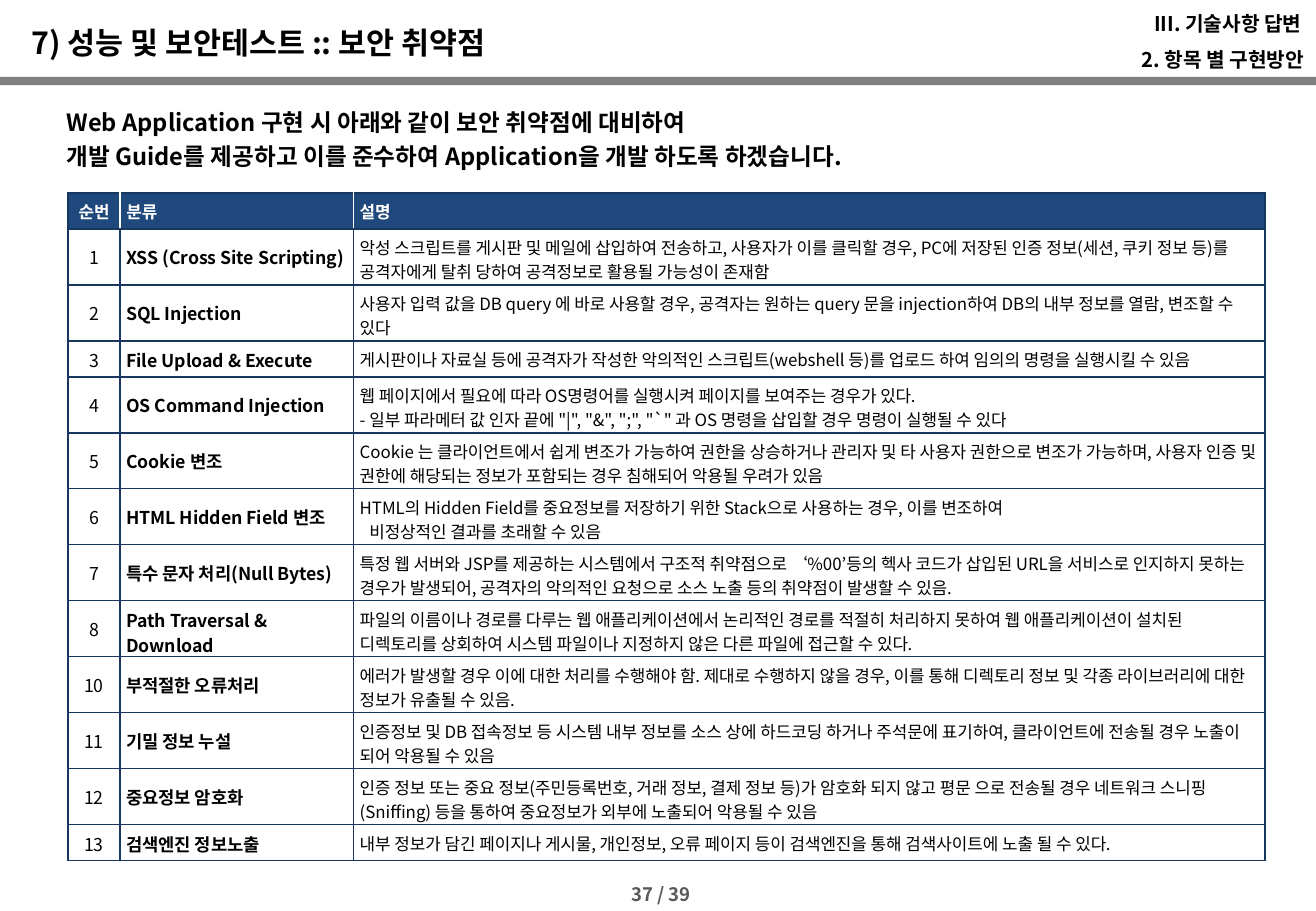
import pptx
import pptx.dml.color
import pptx.enum.shapes
import pptx.enum.text
import pptx.oxml.ns
import pptx.util
from lxml import etree

Cm, Pt = pptx.util.Cm, pptx.util.Pt
ALIGN = pptx.enum.text.PP_ALIGN
MID = pptx.enum.text.MSO_ANCHOR.MIDDLE
TOP = pptx.enum.text.MSO_ANCHOR.TOP

COLORS = {
    "black": "000000", "white": "FFFFFF", "gray": "595959", "bar": "808080",
    "edge": "EEECE1", "head": "1F497D", "grid": "17375E",
}
TITLES = ["순번", "분류", "설명"]
WIDTHS = [1.09, 4.88, 19.05]
SHORT, TALL = 0.75, 1.17

# Number, weakness, description, row height
RISKS = [
    ("1", "XSS (Cross Site Scripting)",
     "악성 스크립트를 게시판 및 메일에 삽입하여 전송하고, 사용자가 이를 클릭할 경우, PC에 저장된 인증 정보(세션, 쿠키 정보 등)를 공격자에게 탈취 당하여 공격정보로 활용될 가능성이 존재함", TALL),
    ("2", "SQL Injection",
     "사용자 입력 값을 DB query 에 바로 사용할 경우, 공격자는 원하는 query 문을 injection하여 DB의 내부 정보를 열람, 변조할 수 있다", TALL),
    ("3", "File Upload & Execute",
     "게시판이나 자료실 등에 공격자가 작성한 악의적인 스크립트(webshell 등)를 업로드 하여 임의의 명령을 실행시킬 수 있음", SHORT),
    ("4", "OS Command Injection",
     "웹 페이지에서 필요에 따라 OS명령어를 실행시켜 페이지를 보여주는 경우가 있다.\n"
     "- 일부 파라메터 값 인자 끝에 \"|\", \"&\", \";\", \"`\" 과 OS 명령을 삽입할 경우 명령이 실행될 수 있다", TALL),
    ("5", "Cookie 변조",
     "Cookie 는 클라이언트에서 쉽게 변조가 가능하여 권한을 상승하거나 관리자 및 타 사용자 권한으로 변조가 가능하며, 사용자 인증 및 권한에 해당되는 정보가 포함되는 경우 침해되어 악용될 우려가 있음", TALL),
    ("6", "HTML Hidden Field 변조",
     "HTML의 Hidden Field를 중요정보를 저장하기 위한 Stack으로 사용하는 경우, 이를 변조하여\n"
     "비정상적인 결과를 초래할 수 있음", TALL),
    ("7", "특수 문자 처리(Null Bytes)",
     "특정 웹 서버와 JSP를 제공하는 시스템에서 구조적 취약점으로 ‘%00’등의 헥사 코드가 삽입된 URL을 서비스로 인지하지 못하는 경우가 발생되어, 공격자의 악의적인 요청으로 소스 노출 등의 취약점이 발생할 수 있음.", TALL),
    ("8", "Path Traversal & Download",
     "파일의 이름이나 경로를 다루는 웹 애플리케이션에서 논리적인 경로를 적절히 처리하지 못하여 웹 애플리케이션이 설치된 디렉토리를 상회하여 시스템 파일이나 지정하지 않은 다른 파일에 접근할 수 있다.", TALL),
    ("10", "부적절한 오류처리",
     "에러가 발생할 경우 이에 대한 처리를 수행해야 함. 제대로 수행하지 않을 경우, 이를 통해 디렉토리 정보 및 각종 라이브러리에 대한 정보가 유출될 수 있음.", TALL),
    ("11", "기밀 정보 누설",
     "인증정보 및 DB 접속정보 등 시스템 내부 정보를 소스 상에 하드코딩 하거나 주석문에 표기하여, 클라이언트에 전송될 경우 노출이 되어 악용될 수 있음", TALL),
    ("12", "중요정보 암호화",
     "인증 정보 또는 중요 정보(주민등록번호, 거래 정보, 결제 정보 등)가 암호화 되지 않고 평문 으로 전송될 경우 네트워크 스니핑(Sniffing) 등을 통하여 중요정보가 외부에 노출되어 악용될 수 있음", TALL),
    ("13", "검색엔진 정보노출",
     "내부 정보가 담긴 페이지나 게시물, 개인정보, 오류 페이지 등이 검색엔진을 통해 검색사이트에 노출 될 수 있다.", SHORT),
]
HANGS = {"6": 0.2}


def paint(name):
    return pptx.dml.color.RGBColor.from_string(COLORS[name])


class Page:
    font = "Noto Sans CJK KR"

    def __init__(self, slide):
        self.slide = slide

    def runs(self, para, text, size, color="black", bold=True,
             align=ALIGN.LEFT, space=None, hang=0):
        para.alignment = align
        if space:
            para.line_spacing = space
        if hang:
            props = para._p.get_or_add_pPr()
            props.set("marL", str(Cm(hang)))
            props.set("indent", str(-Cm(hang)))
        for num, line in enumerate(text.split("\n")):
            if num:
                para.add_line_break()
            run = para.add_run()
            run.text = line
            run.font.size, run.font.bold = Pt(size), bold
            run.font.name = self.font
            run.font.color.rgb = paint(color)
            east = etree.SubElement(run._r.get_or_add_rPr(), pptx.oxml.ns.qn("a:ea"))
            east.set("typeface", self.font)

    def text(self, box, lines, size, anchor=MID, **style):
        frame = self.slide.shapes.add_textbox(*map(Cm, box)).text_frame
        frame.word_wrap = True
        frame.vertical_anchor = anchor
        for num, line in enumerate(lines):
            para = frame.add_paragraph() if num else frame.paragraphs[0]
            self.runs(para, line, size, **style)

    def bar(self, box):
        kind = pptx.enum.shapes.MSO_SHAPE.RECTANGLE
        shape = self.slide.shapes.add_shape(kind, *map(Cm, box))
        shape.shadow.inherit = False
        shape.fill.solid()
        shape.fill.fore_color.rgb = paint("bar")
        shape.line.color.rgb = paint("edge")
        shape.line.width = Pt(0.5)

    def cell(self, cell, text, size, fill=None, sides=("grid",) * 4, **style):
        cell.vertical_anchor = MID
        cell.margin_left = cell.margin_right = Cm(0.13)
        cell.margin_top = cell.margin_bottom = Cm(0.13)
        self.runs(cell.text_frame.paragraphs[0], text, size, **style)
        props = cell._tc.get_or_add_tcPr()
        for side, color in zip("LRTB", sides):
            line = etree.SubElement(props, pptx.oxml.ns.qn("a:ln" + side), w=str(Pt(1)))
            solid = etree.SubElement(line, pptx.oxml.ns.qn("a:solidFill"))
            etree.SubElement(solid, pptx.oxml.ns.qn("a:srgbClr"), val=COLORS[color])
        if fill:
            cell.fill.solid()
            cell.fill.fore_color.rgb = paint(fill)
        else:
            cell.fill.background()

    def table(self, left, top):
        highs = [SHORT] + [risk[3] for risk in RISKS]
        table = self.slide.shapes.add_table(
            len(highs), len(WIDTHS), Cm(left), Cm(top),
            Cm(sum(WIDTHS)), Cm(sum(highs))).table
        table.horz_banding = False
        for col, width in zip(table.columns, WIDTHS):
            col.width = Cm(width)
        for row, high in zip(table.rows, highs):
            row.height = Cm(high)
        # Header row with white inner rules
        last = len(TITLES) - 1
        for col, title in enumerate(TITLES):
            sides = ("white" if col else "grid",
                     "white" if col < last else "grid", "grid", "grid")
            self.cell(table.cell(0, col), title, 10, "head", sides, color="white",
                      align=ALIGN.LEFT if col else ALIGN.CENTER)
        # Risk rows
        for row, (num, name, note, high) in enumerate(RISKS, 1):
            self.cell(table.cell(row, 0), num, 10.5, bold=False, align=ALIGN.CENTER)
            self.cell(table.cell(row, 1), name, 10.5)
            self.cell(table.cell(row, 2), note, 10, bold=False, hang=HANGS.get(num, 0))


def main():
    deck = pptx.Presentation()
    deck.slide_width, deck.slide_height = Cm(27.51), Cm(19.05)
    page = Page(deck.slides.add_slide(deck.slide_layouts[6]))

    # Page number and header rule
    page.text((12.95, 18.34, 2.51, 0.74), ["37 / 39"], 11, TOP, color="gray")
    page.bar((-0.18, 1.6, 27.71, 0.18))

    # Lead text and risk table
    page.text((1.14, 2.01, 25.4, 1.7), [
        "Web Application 구현 시 아래와 같이 보안 취약점에 대비하여",
        "개발 Guide를 제공하고 이를 준수하여 Application을 개발 하도록 하겠습니다.",
    ], 14, TOP, space=1.2)
    page.table(1.42, 4.04)

    # Title and section labels
    page.text((0.41, 0.36, 17.3, 1.07), ["7) 성능 및 보안테스트 :: 보안 취약점"], 18)
    for left, top, label in [(21.41, 0, "III. 기술사항 답변"),
                             (21.46, 0.76, "2. 항목 별 구현방안")]:
        page.text((left, top, 6.05, 0.86), [label], 12,
                  align=ALIGN.RIGHT, space=1.2, hang=0.97)

    deck.save("out.pptx")


if __name__ == "__main__":
    main()
